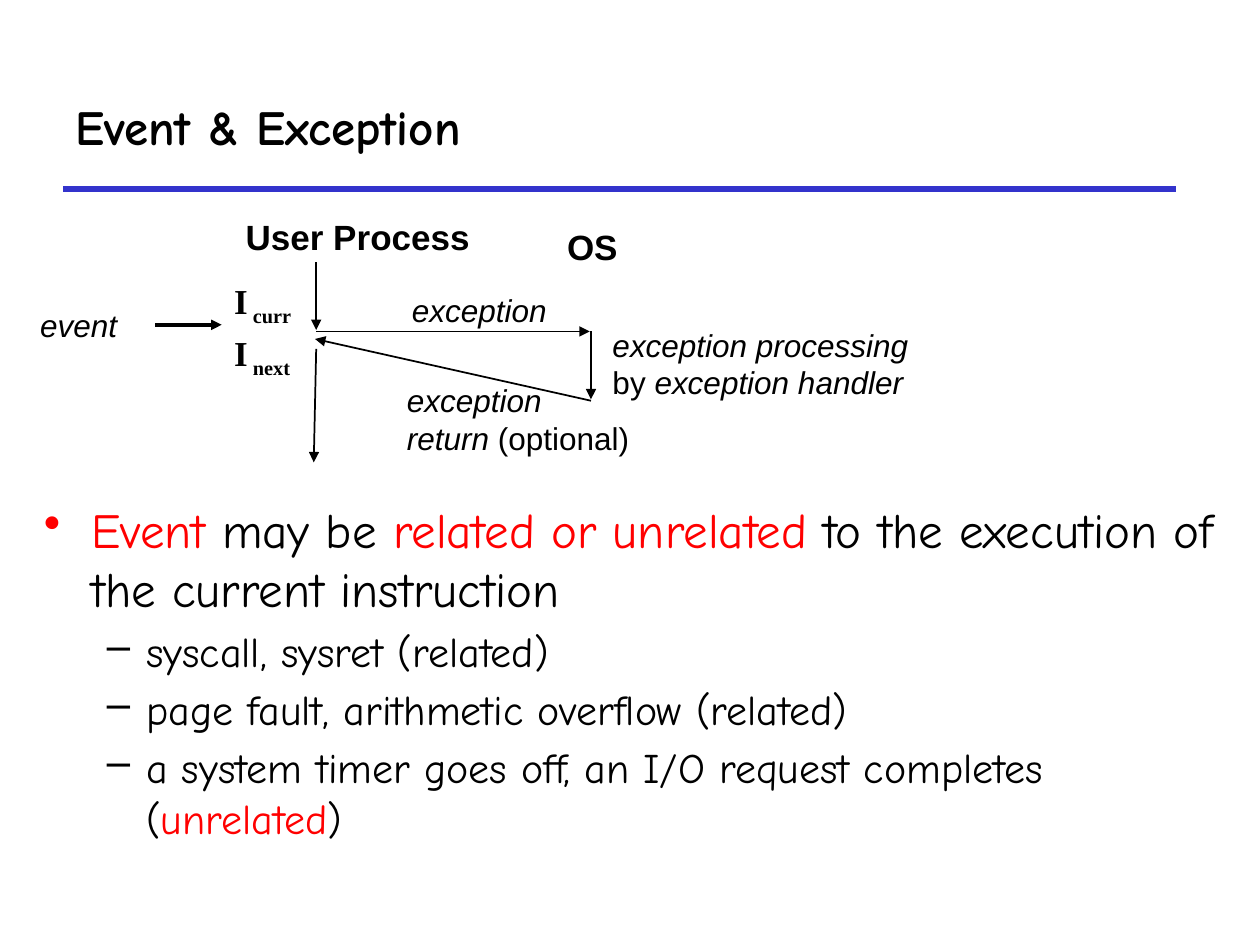
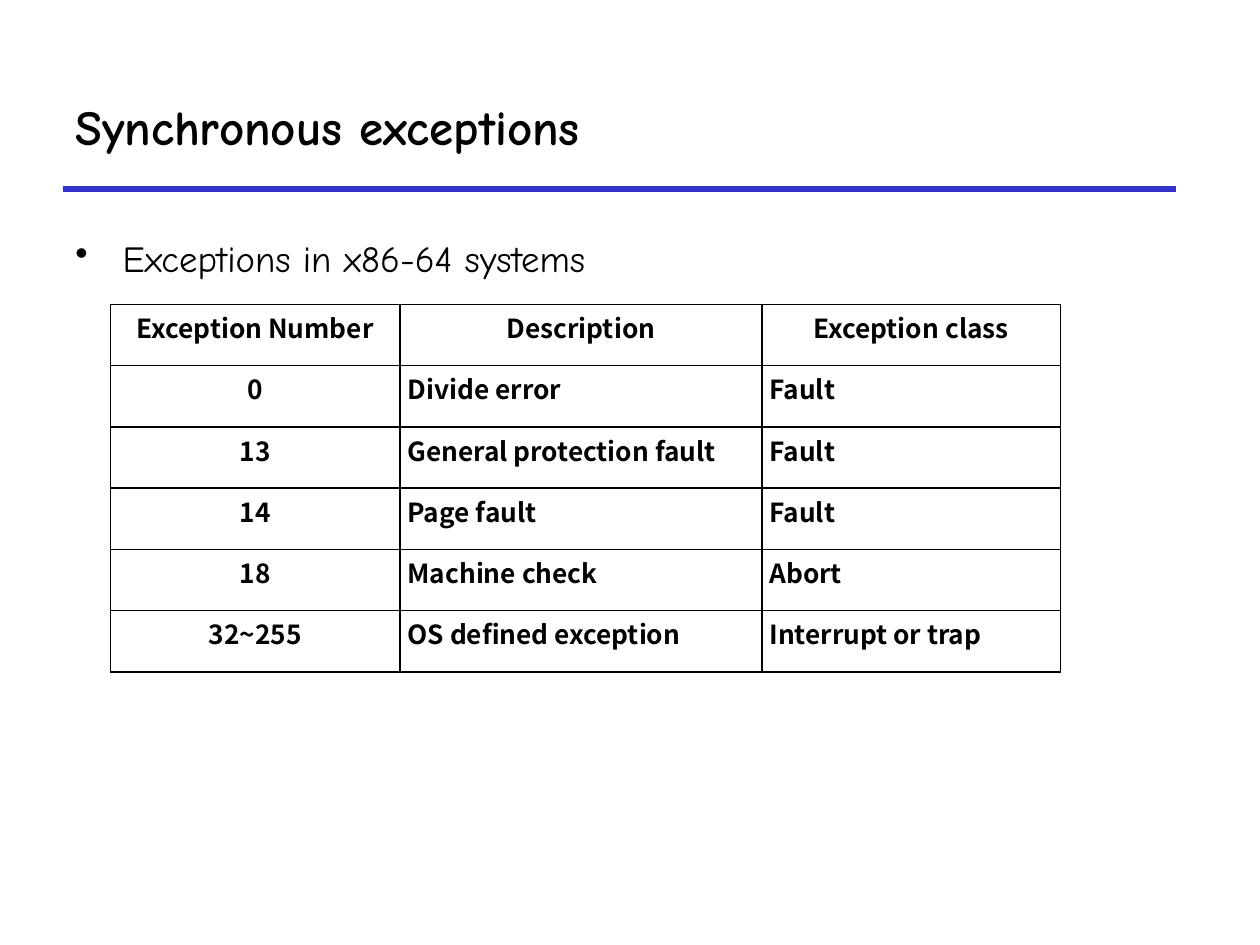
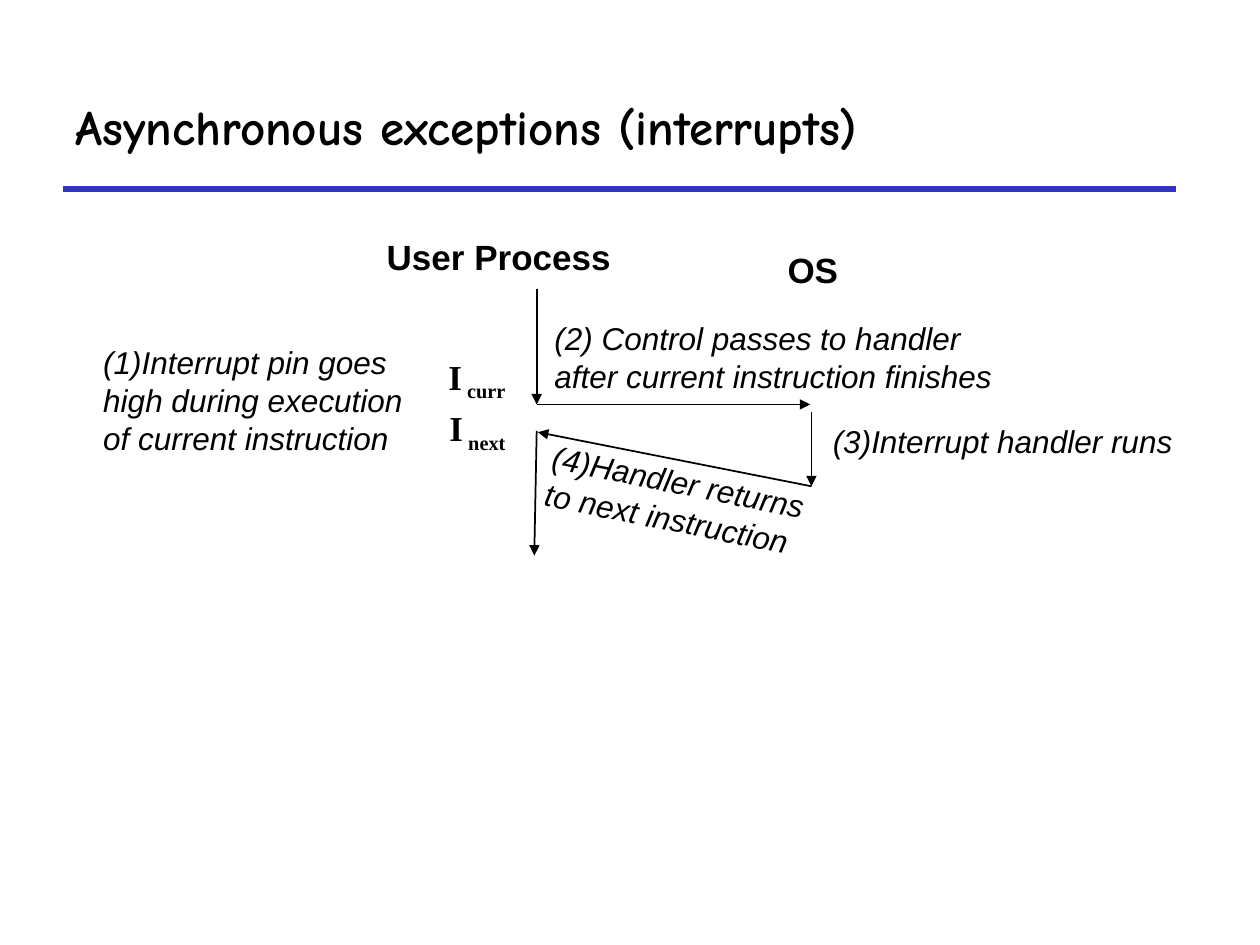
from lxml.etree import SubElement
from pptx import Presentation
from pptx.dml.color import RGBColor
from pptx.enum.shapes import MSO_CONNECTOR
from pptx.enum.text import MSO_ANCHOR, MSO_AUTO_SIZE, PP_ALIGN
from pptx.oxml.ns import qn
from pptx.util import Pt

BLACK = RGBColor(0, 0, 0)
RED = RGBColor(0xFF, 0, 0)
RULE_BLUE = RGBColor(0x33, 0x33, 0xCC)
WHITE = RGBColor(0xFF, 0xFF, 0xFF)

# Text styles
TITLE = dict(font="Comic Neue", size=28, bold=True, anchor=MSO_ANCHOR.MIDDLE)
BODY = dict(font="Comic Neue", size=28)
SUB_BODY = dict(size=24, level=1, space_before=4.5, bullet=("–", 58.5, 22.5))
CELL = dict(font="Noto Sans CJK SC", size=15, bold=True)
TIGHT = (5, 3)
HEADING = dict(font="Arial", size=20, bold=True, inset=TIGHT, wrap=False, grow=True)
NOTE = dict(font="Arial", size=18, italic=True, inset=TIGHT, grow=True)
SHORT_NOTE = dict(NOTE, wrap=False)
TILTED_NOTE = dict(NOTE, rotation=11.3)
INSTRUCTION = dict(font="Times New Roman", size=20, bold=True, wrap=False, grow=True)

# Content: a paragraph is a string or a list of strings and (string, changes)
UPRIGHT = dict(italic=False)
LOWERED = dict(baseline=-25)
CURRENT = [["I", (" curr", LOWERED)]]
NEXT = [["I", (" next", LOWERED)]]

EVENT_LABELS = [
    ((135.4, 120.2, 139.7, 32.4), ["User Process"], HEADING),
    ((319, 126, 39.6, 29.5), ["OS"], HEADING),
    ((230.4, 163.4, 88.6, 22.3), ["exception"], SHORT_NOTE),
    ((345, 183, 224.6, 54),
     ["exception processing", [("by ", UPRIGHT), "exception handler"]], NOTE),
    ((227.5, 214.6, 139, 49),
     ["exception", ["return ", ("(optional)", UPRIGHT)]], SHORT_NOTE),
    ((18, 172, 64.8, 27.4), ["event"], NOTE),
    ((126.7, 156.2, 51, 31.7), CURRENT, INSTRUCTION),
    ((126.7, 185.8, 51, 31.7), NEXT, INSTRUCTION),
]
EVENT_ARROWS = [
    (180.7, 149.8, 180.7, 188.6),
    (180.7, 189.4, 337, 189.4),
    (337.7, 189.4, 337.7, 228.2),
    (337.7, 229, 180, 193.7),
    (180.7, 199.4, 179.3, 264.2),
]
EVENT_POINTER = (88.6, 185.6, 126.7, 185.6)
EVENT_POINTS = [
    ([("Event", dict(color=RED)), " may be ",
      ("related or unrelated", dict(color=RED)),
      " to the execution of the current instruction"],
     dict(bullet=("•", 27, 27))),
    ("syscall, sysret (related)", SUB_BODY),
    ("page fault, arithmetic overflow (related)", SUB_BODY),
    (["a system timer goes off, an I/O request completes (",
      ("unrelated", dict(color=RED)), ")"], SUB_BODY),
]

EXCEPTION_ROWS = [
    ("Exception Number", "Description", "Exception class"),
    ("0", "Divide error", "Fault"),
    ("13", "General protection fault", "Fault"),
    ("14", "Page fault", "Fault"),
    ("18", "Machine check", "Abort"),
    ("32~255", "OS defined exception", "Interrupt or trap"),
]
COLUMN_WIDTHS = (165.6, 206.8, 170.6)
ROW_HEIGHT = 35

INTERRUPT_LABELS = [
    ((216, 131.8, 139.7, 36), ["User Process"], HEADING),
    ((445, 139, 39.6, 32.4), ["OS"], HEADING),
    ((311.8, 179.3, 275.8, 49),
     ["(2) Control passes to handler after current instruction finishes"], NOTE),
    ((470.9, 238.3, 224.6, 30.2), ["(3)Interrupt handler runs"], NOTE),
    ((54, 193, 190, 70.6),
     ["(1)Interrupt pin goes high during execution of current instruction"], NOTE),
    ((249.1, 199.4, 51, 34.6), CURRENT, INSTRUCTION),
    ((249.8, 229, 50.4, 34.6), NEXT, INSTRUCTION),
    ((307.4, 262.8, 173.5, 49),
     ["(4)Handler returns", "to next instruction"], TILTED_NOTE),
]
INTERRUPT_ARROWS = [
    (306.7, 164.9, 306.7, 231.1),
    (306.7, 231.1, 463, 231.1),
    (463.7, 235.4, 463.7, 277.9),
    (463.7, 277.9, 307.4, 247),
    (306.7, 246.2, 305.3, 317.5),
]


def fill_paragraph(para, content, font, size, bold=False, italic=False, color=BLACK,
                   align=PP_ALIGN.LEFT, level=0, space_before=0, line_spacing=None,
                   bullet=None):
    para.alignment = align
    para.level = level
    para.space_before = Pt(space_before)
    if line_spacing:
        para.line_spacing = line_spacing
    if bullet:
        mark, margin, hang = bullet
        properties = para._p.get_or_add_pPr()
        properties.set("marL", str(Pt(margin)))
        properties.set("indent", str(-Pt(hang)))
        SubElement(properties, qn("a:buChar"), char=mark)
    base = dict(bold=bold, italic=italic, color=color)
    for part in [content] if isinstance(content, str) else content:
        text, changes = (part, {}) if isinstance(part, str) else part
        look = {**base, **changes}
        span = para.add_run()
        span.text = text
        span.font.name = font
        span.font.size = Pt(size)
        span.font.bold = look["bold"]
        span.font.italic = look["italic"]
        span.font.color.rgb = look["color"]
        if "baseline" in look:
            span._r.get_or_add_rPr().set("baseline", str(look["baseline"] * 1000))


def add_text(page, place, paragraphs, inset=(7.2, 3.6), wrap=True, grow=False,
             anchor=MSO_ANCHOR.TOP, rotation=0, **style):
    """Each paragraph is its content, or a (content, style changes) pair."""
    box = page.shapes.add_textbox(*map(Pt, place))
    box.rotation = rotation
    frame = box.text_frame
    frame.word_wrap = wrap
    frame.auto_size = MSO_AUTO_SIZE.SHAPE_TO_FIT_TEXT if grow else MSO_AUTO_SIZE.NONE
    frame.vertical_anchor = anchor
    frame.margin_left = frame.margin_right = Pt(inset[0])
    frame.margin_top = frame.margin_bottom = Pt(inset[1])
    for index, item in enumerate(paragraphs):
        content, changes = item if isinstance(item, tuple) else (item, {})
        para = frame.add_paragraph() if index else frame.paragraphs[0]
        fill_paragraph(para, content, **{**style, **changes})


def add_line(page, ends, color=BLACK, width=1, arrow=True):
    line = page.shapes.add_connector(MSO_CONNECTOR.STRAIGHT, *map(Pt, ends))
    line.line.color.rgb = color
    line.line.width = Pt(width)
    if arrow:
        SubElement(line.line._get_or_add_ln(), qn("a:tailEnd"), type="triangle")
    SubElement(line._element.spPr, qn("a:effectLst"))


def add_page(deck, title):
    page = deck.slides.add_slide(deck.slide_layouts[6])
    page.background.fill.solid()
    page.background.fill.fore_color.rgb = WHITE
    add_line(page, (36, 108, 672, 108), color=RULE_BLUE, width=3, arrow=False)
    add_text(page, (36, 36, 636, 72), [title], **TITLE)
    return page


def add_diagram(page, labels, arrows):
    for ends in arrows:
        add_line(page, ends)
    for place, paragraphs, style in labels:
        add_text(page, place, paragraphs, **style)


def add_border(cell):
    for side in ("a:lnL", "a:lnR", "a:lnT", "a:lnB"):
        edge = SubElement(cell._tc.get_or_add_tcPr(), qn(side), w=str(Pt(1)))
        fill = SubElement(edge, qn("a:solidFill"))
        SubElement(fill, qn("a:srgbClr"), val=str(BLACK))


def add_exception_table(page, left, top):
    table = page.shapes.add_table(
        len(EXCEPTION_ROWS), len(COLUMN_WIDTHS), Pt(left), Pt(top),
        Pt(sum(COLUMN_WIDTHS)), Pt(ROW_HEIGHT * len(EXCEPTION_ROWS))).table
    table.first_row = table.horz_banding = False
    for column, width in zip(table.columns, COLUMN_WIDTHS):
        column.width = Pt(width)
    for r, values in enumerate(EXCEPTION_ROWS):
        table.rows[r].height = Pt(ROW_HEIGHT)
        for c, value in enumerate(values):
            cell = table.cell(r, c)
            add_border(cell)
            cell.fill.background()
            cell.margin_left = cell.margin_right = Pt(4.3)
            cell.margin_top = cell.margin_bottom = Pt(2.2)
            centred = r == 0 or c == 0
            fill_paragraph(cell.text_frame.paragraphs[0], value, **CELL,
                           align=PP_ALIGN.CENTER if centred else PP_ALIGN.LEFT)


def main():
    deck = Presentation()
    deck.slide_width, deck.slide_height = Pt(720), Pt(540)

    # Event and exception
    page = add_page(deck, "Event & Exception")
    add_text(page, (18, 282, 690, 223), EVENT_POINTS, **BODY)
    add_diagram(page, EVENT_LABELS, EVENT_ARROWS)
    add_line(page, EVENT_POINTER, width=2)

    # Synchronous exceptions
    page = add_page(deck, "Synchronous exceptions")
    add_text(page, (36, 126, 600, 260.6), ["Exceptions in x86-64 systems"],
             font="Comic Neue", size=21, line_spacing=1.2, bullet=("•", 27, 27))
    add_exception_table(page, 63, 174)

    # Asynchronous exceptions
    page = add_page(deck, "Asynchronous exceptions (interrupts)")
    add_diagram(page, INTERRUPT_LABELS, INTERRUPT_ARROWS)

    deck.save("out.pptx")


if __name__ == "__main__":
    main()
